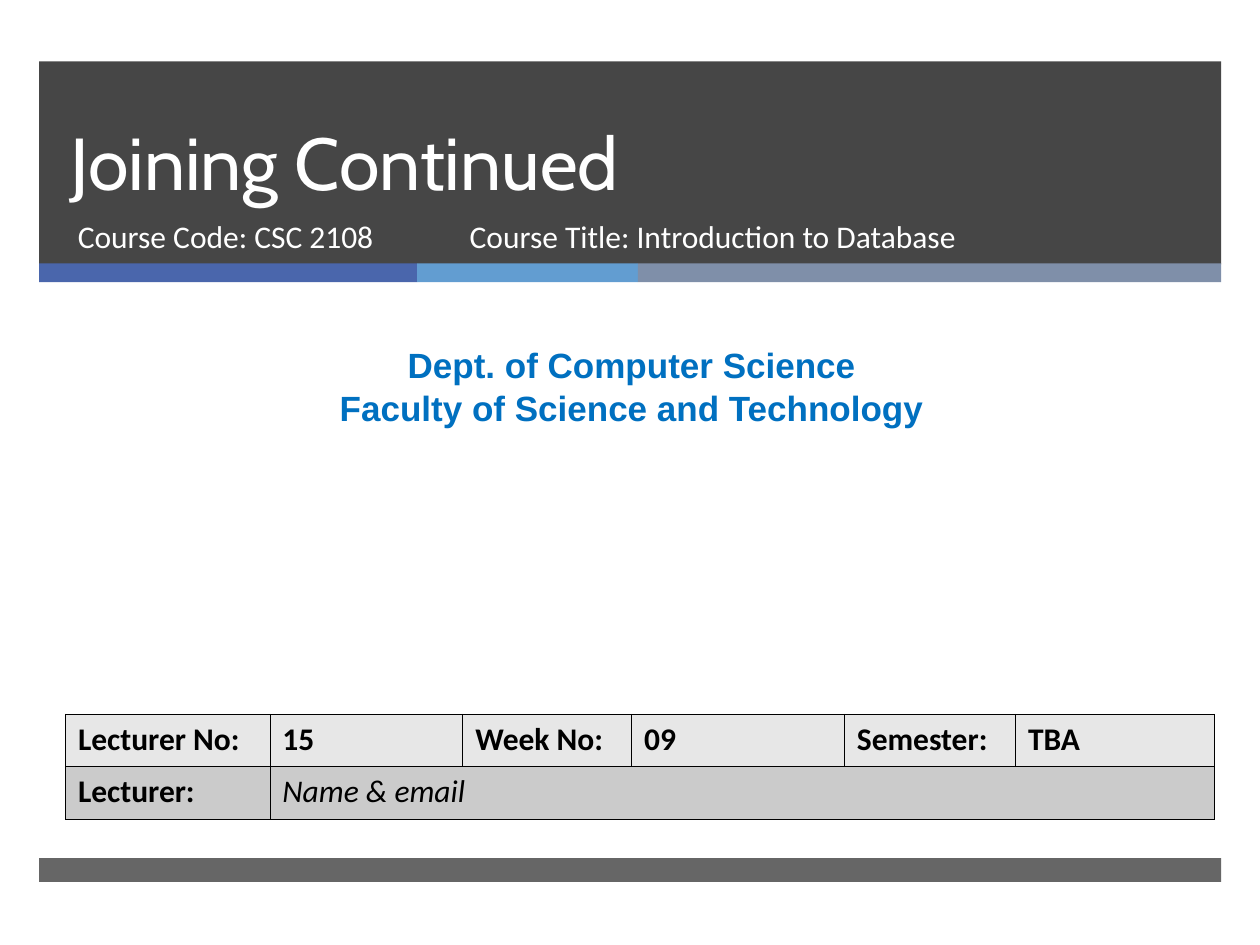
from collections import namedtuple

from lxml.etree import SubElement
from pptx import Presentation
from pptx.dml.color import RGBColor
from pptx.enum.shapes import MSO_SHAPE
from pptx.enum.text import MSO_ANCHOR, PP_ALIGN
from pptx.oxml import parse_xml
from pptx.oxml.ns import qn
from pptx.util import Cm, Pt

WHITE = RGBColor(0xFF, 0xFF, 0xFF)
BLACK = RGBColor(0x00, 0x00, 0x00)
CHARCOAL = RGBColor(0x26, 0x26, 0x26)
INDIGO = RGBColor(0x4A, 0x66, 0xAC)
SKY = RGBColor(0x62, 0x9D, 0xD1)
SLATE = RGBColor(0x7F, 0x8F, 0xA9)
BLUE = RGBColor(0x00, 0x70, 0xC0)
LIGHT_GREY = RGBColor(0xE7, 0xE7, 0xE7)
MID_GREY = RGBColor(0xCB, 0xCB, 0xCB)

DRAWING_NS = "http://schemas.openxmlformats.org/drawingml/2006/main"
Box = namedtuple("Box", "left top width height")


def lengths(box):
    """Return the sides of a box as slide lengths."""
    return [Cm(side) for side in box]


def add_bar(page, box, color, opacity=100):
    """Draw a plain filled rectangle."""
    bar = page.shapes.add_shape(MSO_SHAPE.RECTANGLE, *lengths(box))
    bar.shadow.inherit = False
    bar.line.fill.background()
    bar.fill.solid()
    bar.fill.fore_color.rgb = color
    if opacity < 100:
        fill_color = bar.fill._xPr.find(qn("a:solidFill"))[0]
        SubElement(fill_color, qn("a:alpha"), val=str(opacity * 1000))


def add_span(para, text, size, font, color, bold=False, italic=False):
    """Append one formatted run to a paragraph."""
    span = para.add_run()
    span.text = text
    span.font.size = Pt(size)
    span.font.name = font
    span.font.color.rgb = color
    span.font.bold = bold
    span.font.italic = italic


def add_text(page, box, lines, size, font, color, bold=False,
             align=PP_ALIGN.LEFT, anchor=MSO_ANCHOR.TOP, spacing=None):
    """Place a wrapped text box with one paragraph for each line."""
    frame = page.shapes.add_textbox(*lengths(box)).text_frame
    frame.word_wrap = True
    frame.vertical_anchor = anchor
    for index, line in enumerate(lines):
        para = frame.add_paragraph() if index else frame.paragraphs[0]
        para.alignment = align
        if spacing:
            para.line_spacing = Pt(spacing)
        add_span(para, line, size, font, color, bold)


def add_header(page, box):
    """Draw the dark banner, its colour strip, the title and the course details."""
    add_bar(page, box, CHARCOAL, opacity=85)
    left = box.left
    strip = [(7.62, INDIGO), (4.45, SKY), (box.width - 12.07, SLATE)]
    for width, color in strip:
        add_bar(page, Box(left, box.top + box.height - 0.02, width, 0.38), color)
        left += width
    add_text(page, Box(box.left + 0.38, box.top, 21.69, 3.02),
             ["Joining Continued"], 42, "Cabin", WHITE,
             anchor=MSO_ANCHOR.BOTTOM, spacing=46)
    details = [(0.53, 7.75, "Course Code: CSC 2108"),
               (8.43, 11.56, "Course Title: Introduction to Database")]
    for offset, width, text in details:
        add_text(page, Box(box.left + offset, box.top + 3.02, width, 1.35),
                 [text], 18, "Calibri", WHITE)


def add_department(page, box):
    """Write the department and the faculty, centred in the box."""
    add_text(page, box,
             ["Dept. of Computer Science", "Faculty of Science and Technology"],
             20, "Arial", BLUE, bold=True, align=PP_ALIGN.CENTER)


def style_cell(cell, fill):
    """Give a cell its fill and thin black borders."""
    properties = cell._tc.get_or_add_tcPr()
    for side in ("lnL", "lnR", "lnT", "lnB"):
        properties.append(parse_xml(
            f'<a:{side} xmlns:a="{DRAWING_NS}" w="{Pt(0.45)}"><a:solidFill>'
            f'<a:srgbClr val="{BLACK}"/></a:solidFill></a:{side}>'))
    cell.fill.solid()
    cell.fill.fore_color.rgb = fill


def add_lecture_table(page, box):
    """Build the lecture details table, with a merged cell for the lecturer."""
    rows = [["Lecturer No:", "15", "Week No:", "09", "Semester:", "TBA"],
            ["Lecturer:", "Name & email"]]
    widths = [4.12, 3.89, 3.4, 4.29, 3.45, 4.01]
    table = page.shapes.add_table(len(rows), len(widths), *lengths(box)).table
    for column, width in zip(table.columns, widths):
        column.width = Cm(width)
    for row_index, (texts, fill) in enumerate(zip(rows, (LIGHT_GREY, MID_GREY))):
        for cell in table.rows[row_index].cells:
            style_cell(cell, fill)
        for column_index, text in enumerate(texts):
            is_name = (row_index, column_index) == (1, 1)
            para = table.cell(row_index, column_index).text_frame.paragraphs[0]
            add_span(para, text, 18, "Calibri", BLACK,
                     bold=not is_name, italic=is_name)
    table.cell(1, 1).merge(table.cell(1, len(widths) - 1))


def main():
    """Build the title slide and save the deck."""
    deck = Presentation()
    deck.slide_width, deck.slide_height = Cm(25.4), Cm(19.05)
    page = deck.slides.add_slide(deck.slide_layouts[6])
    add_header(page, Box(0.79, 1.24, 23.83, 4.09))
    add_bar(page, Box(0.79, 17.3, 23.83, 0.48), CHARCOAL, opacity=70)
    add_department(page, Box(0.2, 6.81, 25.07, 1.96))
    add_lecture_table(page, Box(1.32, 14.4, 23.16, 2.11))
    deck.save("out.pptx")


if __name__ == "__main__":
    main()
